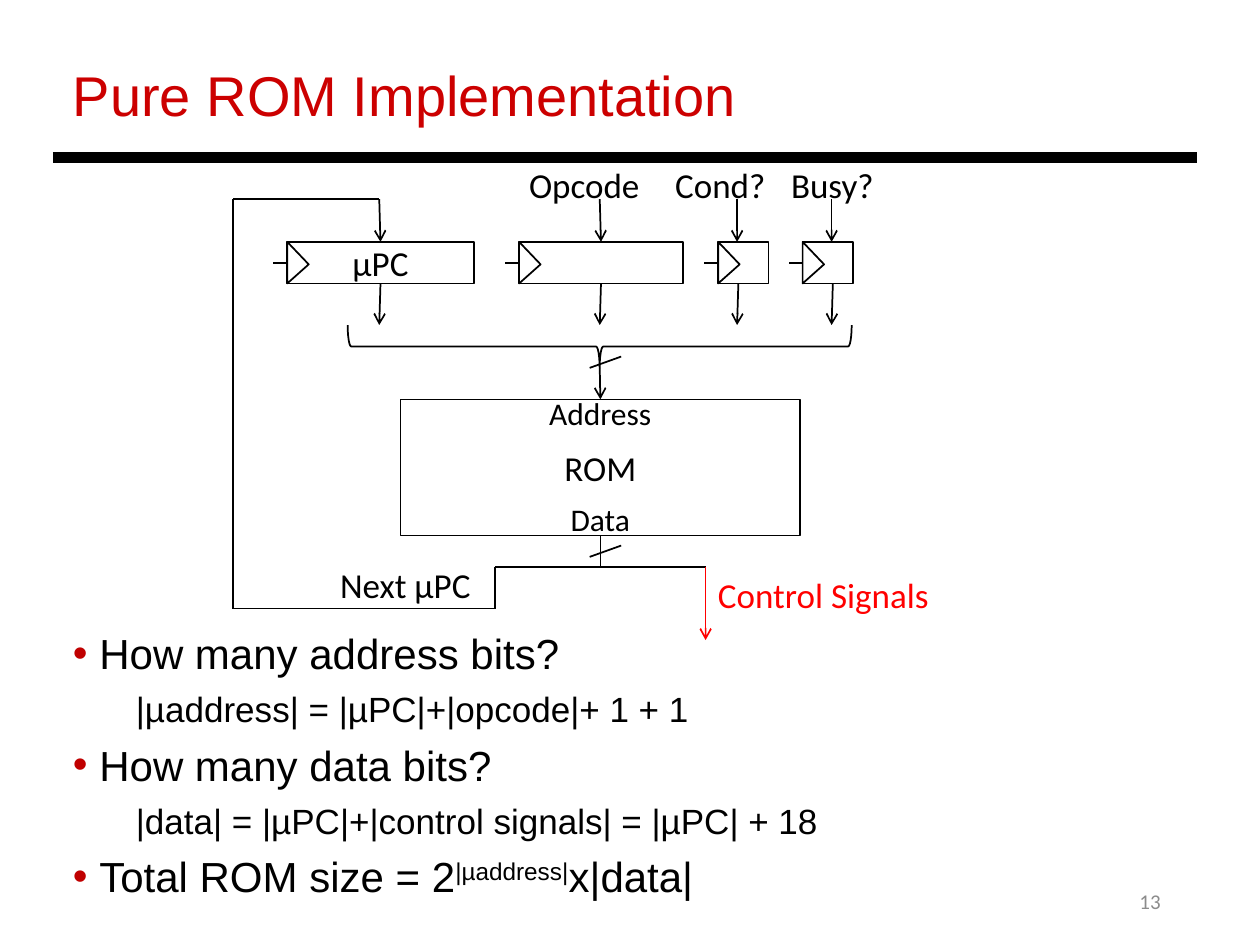
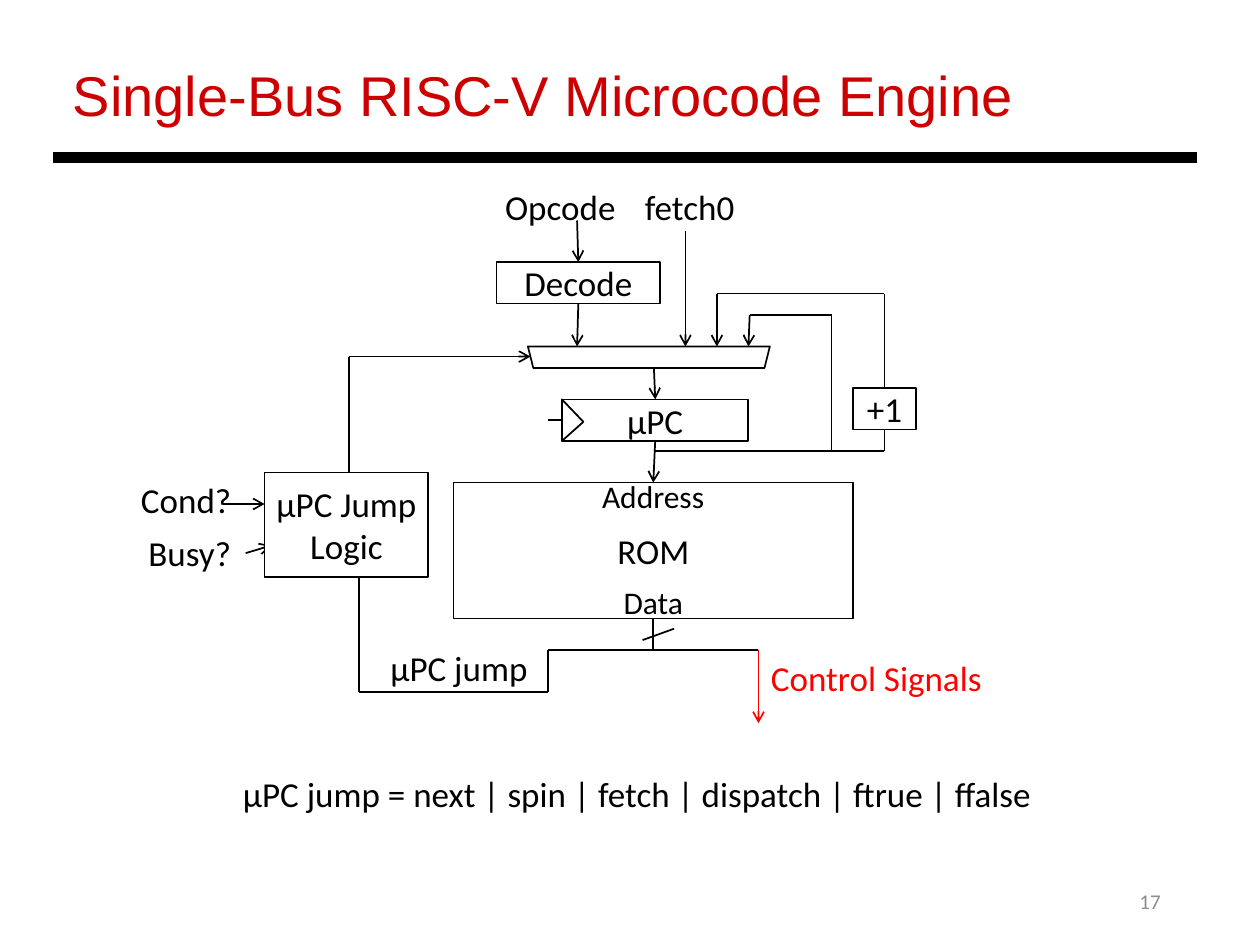
from dataclasses import dataclass
from typing import NamedTuple

from lxml.etree import SubElement
from pptx import Presentation
from pptx.dml.color import RGBColor
from pptx.enum.shapes import MSO_CONNECTOR, MSO_SHAPE
from pptx.enum.text import MSO_ANCHOR, PP_ALIGN
from pptx.oxml.ns import qn
from pptx.util import Inches, Pt


# Theme shared by both slides
@dataclass(frozen=True)
class Theme:
    black: RGBColor = RGBColor(0, 0, 0)
    white: RGBColor = RGBColor(255, 255, 255)
    title: RGBColor = RGBColor(0xCC, 0, 0)
    bullet: str = "C00000"
    signal: RGBColor = RGBColor(255, 0, 0)
    page: RGBColor = RGBColor(0x8C, 0x8C, 0x8C)
    head: str = "Arial"
    body: str = "Calibri"
    title_size: int = 32
    ask_size: int = 24
    text_size: int = 20
    port_size: int = 18
    page_size: int = 12
    line: float = 1
    rule: float = 6


T = Theme()


class Point(NamedTuple):
    x: float
    y: float


class Box(NamedTuple):
    x: float
    y: float
    w: float
    h: float
    text: str = ""

    def sides(self) -> list[Point]:
        """Middle of each side: top, left, bottom, right."""
        mid_x, mid_y = self.x + self.w / 2, self.y + self.h / 2
        return [Point(mid_x, self.y), Point(self.x, mid_y),
                Point(mid_x, self.y + self.h), Point(self.x + self.w, mid_y)]

    def place(self) -> list[int]:
        return [Inches(v) for v in self[:4]]


class Label(NamedTuple):
    text: str
    x: float
    y: float
    w: float
    color: RGBColor = T.black
    size: int = T.text_size


def style(para, size: int, color: RGBColor, name: str) -> None:
    font = para.font
    font.size, font.name = Pt(size), name
    font.color.rgb = color


class Chart:
    """One slide and the blocks its wires can join."""

    def __init__(self, deck, title: str, number: int) -> None:
        self.shapes = deck.slides.add_slide(deck.slide_layouts[6]).shapes
        self.blocks: list = []
        # Page number, title and rule
        page = self.text(Box(7.06, 6.95, 2.25, .4, str(number)),
                         T.page_size, T.page)
        page.vertical_anchor = MSO_ANCHOR.MIDDLE
        page.paragraphs[0].alignment = PP_ALIGN.RIGHT
        self.text(Box(.48, .43, 8.78, .64, title), T.title_size, T.title, T.head)
        self.wire((.42, 1.25), (9.5, 1.25), width=T.rule)

    def text(self, box: Box, size: int, color: RGBColor,
             name: str = T.body, wrap: bool = True):
        frame = self.shapes.add_textbox(*box.place()).text_frame
        frame.word_wrap = wrap
        frame.text = box.text
        style(frame.paragraphs[0], size, color, name)
        return frame

    def label(self, item: Label) -> None:
        high = .44 if item.size == T.text_size else .4
        self.text(Box(item.x, item.y, item.w, high, item.text),
                  item.size, item.color, wrap=False)

    def shape(self, kind, box: Box, turn: float = 0):
        shape = self.shapes.add_shape(kind, *box.place())
        shape.rotation = turn
        shape.shadow.inherit = False
        shape.fill.solid()
        shape.fill.fore_color.rgb = T.white
        shape.line.color.rgb = T.black
        shape.line.width = Pt(T.line)
        return shape

    def block(self, box: Box) -> None:
        shape = self.shape(MSO_SHAPE.RECTANGLE, box)
        self.blocks.append((box, shape))
        if box.text:
            frame = shape.text_frame
            frame.margin_left = frame.margin_right = Inches(0)
            frame.margin_top = frame.margin_bottom = Inches(0)
            frame.vertical_anchor = MSO_ANCHOR.MIDDLE
            frame.word_wrap = True
            frame.text = box.text
            para = frame.paragraphs[0]
            para.alignment = PP_ALIGN.CENTER
            style(para, T.text_size, T.black, T.body)

    def join(self, connect, end: tuple) -> None:
        """Join a wire's end to the block side whose middle it meets."""
        for box, shape in self.blocks:
            for site, mid in enumerate(box.sides()):
                if max(abs(mid.x - end[0]), abs(mid.y - end[1])) < .015:
                    connect(shape, site)
                    return

    def wire(self, *points: tuple, arrow: bool = False,
             color: RGBColor = T.black, width: float = T.line) -> None:
        legs = list(zip(points, points[1:]))
        for i, (start, stop) in enumerate(legs):
            line = self.shapes.add_connector(
                MSO_CONNECTOR.STRAIGHT, *[Inches(v) for v in (*start, *stop)])
            line.line.color.rgb = color
            line.line.width = Pt(width)
            props = line.line._get_or_add_ln()
            SubElement(line._element.spPr, qn("a:effectLst"))
            if i == 0:
                self.join(line.begin_connect, start)
            if i == len(legs) - 1:
                self.join(line.end_connect, stop)
                if arrow:
                    SubElement(props, qn("a:tailEnd"), type="arrow")

    def latch(self, box: Box) -> None:
        """A clocked register: block, clock tick and clock mark."""
        self.block(box)
        left = box.sides()[1]
        self.wire(left, (left.x - .11, left.y))
        mark = self.shape(MSO_SHAPE.ISOSCELES_TRIANGLE,
                          Box(box.x - .08, box.y + .08, .33, .17), 90)
        mark.adjustments[0] = .541

    def slash(self, x: float, y: float) -> None:
        self.wire((x, y), (x + .25, y - .09))

    def rom(self, x: float, y: float) -> Point:
        """ROM with its outputs; returns the end of the left output."""
        box = Box(x, y, 3.17, 1.08, "ROM")
        self.block(box)
        self.label(Label("Address", x + 1.08, y - .09, 1.03, size=T.port_size))
        self.label(Label("Data", x + 1.25, y + .75, .68, size=T.port_size))
        out = box.sides()[2]
        bus, left, right = y + 1.33, x + .75, x + 2.42
        foot = Point(left, bus + .33)
        self.wire(out, (out.x, bus))
        self.wire((right, bus), (left, bus), foot)
        self.wire((right, bus), (right, bus + .58), arrow=True, color=T.signal)
        self.label(Label("Control Signals", right, bus, 1.9, T.signal))
        self.slash(x + 1.5, y + 1.25)
        return foot


def add_list(chart: Chart) -> None:
    """Questions with bullets, formulas indented below them."""
    items = [
        (0, ["How many address bits?"]),
        (1, ["|µaddress| = |µPC|+|opcode|+ 1 + 1"]),
        (0, ["How many data bits?"]),
        (1, ["|data| = |µPC|+|control signals| = |µPC| + 18"]),
        (0, ["Total ROM size = 2", "|µaddress|", "x|data|"]),
    ]
    frame = chart.shapes.add_textbox(*Box(.48, 4.93, 9.28, 2.28).place()).text_frame
    frame.word_wrap = True
    for i, (level, parts) in enumerate(items):
        para = frame.add_paragraph() if i else frame.paragraphs[0]
        para.level = level
        props = para._p.get_or_add_pPr()
        if i:
            para.space_before = Pt(5.5)
        hang = 0 if level else .21
        props.set("marL", str(Inches(.5 if level else hang)))
        props.set("indent", str(-Inches(hang)))
        if level:
            SubElement(props, qn("a:buNone"))
        else:
            tint = SubElement(props, qn("a:buClr"))
            SubElement(tint, qn("a:srgbClr"), val=T.bullet)
            SubElement(props, qn("a:buFont"), typeface=T.head)
            SubElement(props, qn("a:buChar"), char="•")
        style(para, T.text_size if level else T.ask_size, T.black, T.head)
        for j, part in enumerate(parts):
            run = para.add_run()
            run.text = part
            if j == 1:
                run._r.get_or_add_rPr().set("baseline", "30000")


def pure_rom(deck) -> None:
    chart = Chart(deck, "Pure ROM Implementation", 13)
    add_list(chart)

    # Registers feeding the address
    top, high = 1.92, .33
    for x, wide, pin, name in [(2.28, 1.48, 3.01, "µPC"), (4.12, 1.3, 4.76, ""),
                               (5.7, .4, 5.85, ""), (6.37, .4, 6.6, "")]:
        chart.latch(Box(x, top, wide, high, name))
        chart.wire((pin + .01, top + high), (pin, 2.58), arrow=True)
        if not name:
            chart.wire((pin, 1.58), (pin, top), arrow=True)
    for item in [Label("Opcode", 4.1, 1.25, 1.09),
                 Label("Cond?", 5.26, 1.25, .92),
                 Label("Busy?", 6.18, 1.25, .87),
                 Label("Next µPC", 2.6, 4.42, 1.25)]:
        chart.label(item)

    # ROM and the loop back to the counter
    chart.shape(MSO_SHAPE.LEFT_BRACE, Box(4.59, .75, .34, 4), 270)
    foot = chart.rom(3.18, 3.17)
    chart.wire((4.76, 2.92), (4.76, 3.17), arrow=True)
    chart.slash(4.68, 2.92)
    chart.wire(foot, (1.85, foot.y), (1.85, 1.58), (3.01, 1.58), (3.02, top),
               arrow=True)


def engine(deck) -> None:
    chart = Chart(deck, "Single-Bus RISC-V Microcode Engine", 17)

    # Blocks
    chart.latch(Box(4.46, 3.17, 1.48, .33, "µPC"))
    chart.block(Box(3.94, 2.08, 1.3, .33, "Decode"))
    chart.block(Box(6.77, 3.08, .5, .33, "+1"))
    chart.shape(MSO_SHAPE.TRAPEZOID, Box(4.19, 2.75, 1.92, .17), 180)
    foot = chart.rom(3.6, 3.83)

    # Jump logic covers the tip of the busy arrow
    chart.wire((1.95, 4.39), (2.15, 4.33), arrow=True)
    chart.block(Box(2.1, 3.75, 1.3, .83, "µPC Jump Logic"))

    # Arrows between the blocks
    for path in [[(4.58, 1.75), (4.58, 2.08)],
                 [(4.59, 2.41), (4.58, 2.75)],
                 [(5.44, 1.83), (5.44, 2.75)],
                 [(5.19, 2.92), (5.2, 3.17)],
                 [(5.2, 3.5), (5.19, 3.83)],
                 [(1.77, 4), (2.1, 4)],
                 [(2.77, 3.75), (2.77, 2.83), (4.21, 2.83)],
                 [(7.02, 3.08), (7.02, 2.33), (5.69, 2.33), (5.69, 2.75)],
                 [(6.6, 3.58), (6.6, 2.5), (5.95, 2.5), (5.94, 2.75)]]:
        chart.wire(*path, arrow=True)

    # Plain lines
    chart.wire((5.19, 3.58), (7.02, 3.58), (7.02, 3.41))
    chart.wire(foot, (2.85, foot.y), (2.85, 4.58))

    for item in [Label("Opcode", 3.91, 1.42, 1.09),
                 Label("fetch0", 5.02, 1.42, .93),
                 Label("Cond?", 1.02, 3.75, .92),
                 Label("Busy?", 1.08, 4.17, .87),
                 Label("µPC jump", 3, 5.08, 1.3),
                 Label("µPC jump = next | spin | fetch | dispatch | ftrue | ffalse",
                       1.83, 6.08, 6.53)]:
        chart.label(item)


def main() -> None:
    deck = Presentation()
    deck.slide_width, deck.slide_height = Inches(10), Inches(7.5)
    pure_rom(deck)
    engine(deck)
    deck.save("out.pptx")


if __name__ == "__main__":
    main()
